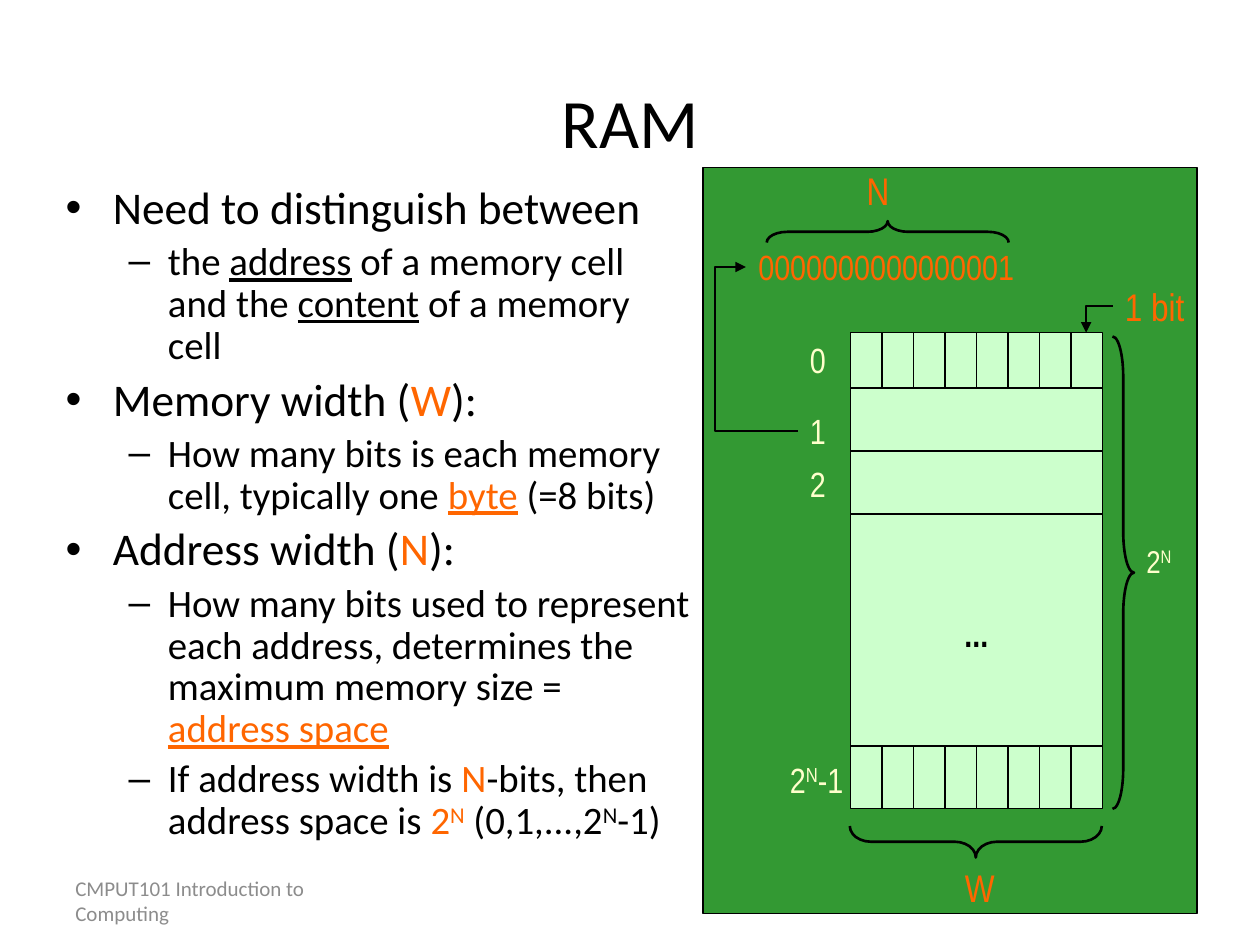
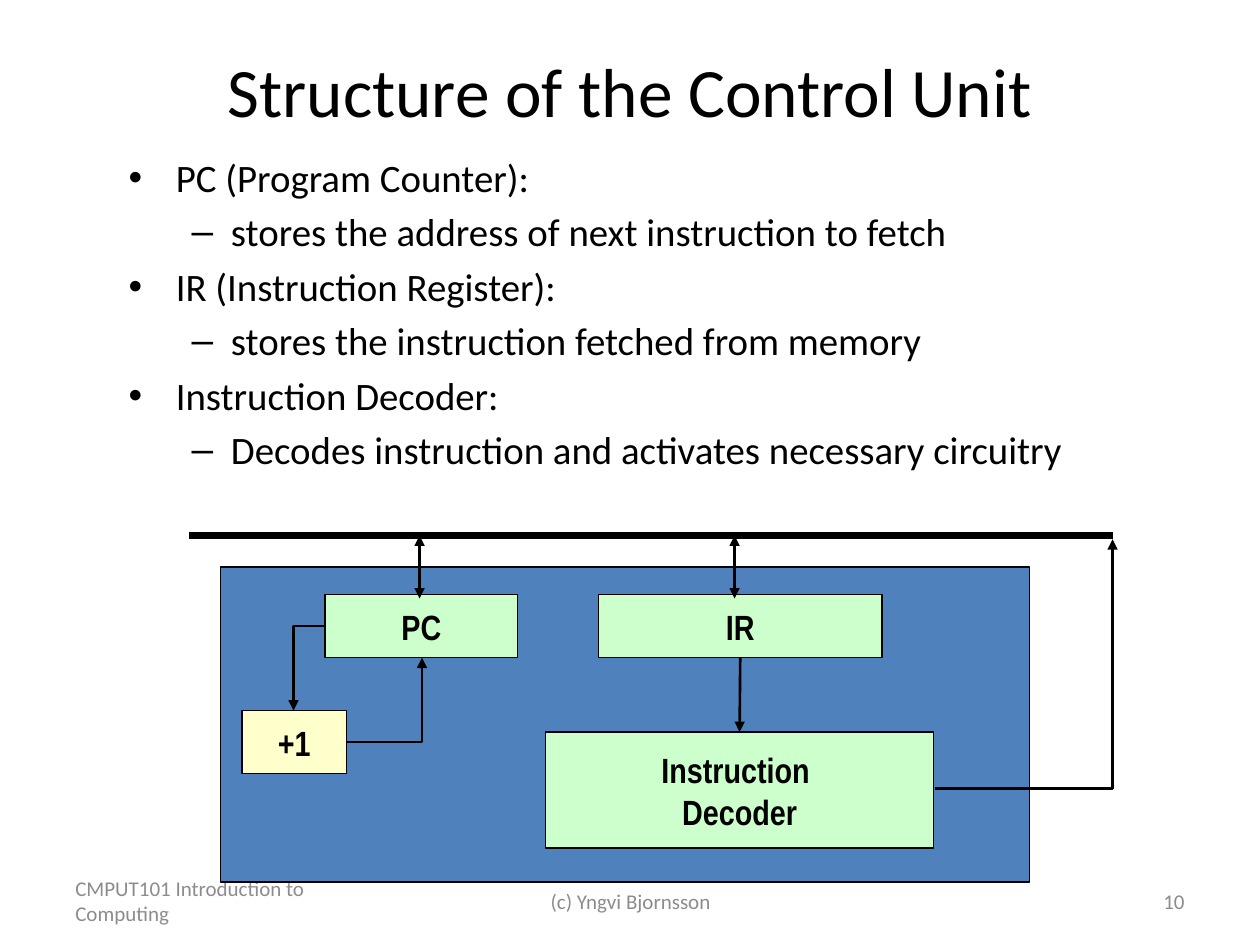
from lxml import etree
from pptx import Presentation
from pptx import util as u
from pptx.dml.color import RGBColor
from pptx.enum import shapes, text
from pptx.oxml.ns import qn

BLACK, GREY, ORANGE, CREAM = "000000", "8C8C8C", "FF6600", "FFFFCC"
MINT, GREEN, BLUE = "CCFFCC", "339933", "4F81BD"
BODY_FONT, DIAGRAM_FONT = "Calibri", "Arial Narrow"
BIT = 0.25
MEMORY_LEFT, MEMORY_WIDTH = 6.75, 8 * BIT
CENTER, RIGHT = text.PP_ALIGN.CENTER, text.PP_ALIGN.RIGHT


def rgb(color):
    return RGBColor.from_string(color)


def inches(*lengths):
    return [u.Inches(length) for length in lengths]


def add_runs(paragraph, runs, size, font, color=BLACK, bold=False):
    """Flags of a run: o orange, u underlined, s superscript."""
    for item in runs:
        words, flags = (item, "") if isinstance(item, str) else item
        run = paragraph.add_run()
        run.text = words
        run.font.name = font
        run.font.size = u.Pt(size)
        run.font.bold = bold
        run.font.color.rgb = rgb(ORANGE if "o" in flags else color)
        if "u" in flags:
            run.font.underline = True
        if "s" in flags:
            run._r.get_or_add_rPr().set("baseline", "30000")


def place(shape, box):
    shape.left, shape.top, shape.width, shape.height = inches(*box)


def set_title(slide, words, top):
    title = slide.shapes.title
    place(title, (0.75, top, 8.5, 0.58))
    title.text_frame.auto_size = text.MSO_AUTO_SIZE.NONE
    title.text_frame.vertical_anchor = text.MSO_ANCHOR.MIDDLE
    add_runs(title.text_frame.paragraphs[0], [words], 39.6, BODY_FONT)


def set_list(slide, box, points, sizes, spacing=None):
    body = slide.placeholders[1]
    place(body, box)
    frame = body.text_frame
    frame.auto_size = text.MSO_AUTO_SIZE.NONE
    for index, (level, *runs) in enumerate(points):
        paragraph = frame.add_paragraph() if index else frame.paragraphs[0]
        paragraph.level = level
        if spacing:
            paragraph.line_spacing = spacing
        add_runs(paragraph, runs, sizes[level], BODY_FONT)


def add_label(slide, box, runs, size, color, font=DIAGRAM_FONT, wrap=False,
              align=None, anchor=text.MSO_ANCHOR.TOP):
    frame = slide.shapes.add_textbox(*inches(*box)).text_frame
    frame.word_wrap = wrap
    frame.vertical_anchor = anchor
    frame.paragraphs[0].alignment = align
    add_runs(frame.paragraphs[0], runs, size, font, color)


def add_footer(slide, left, width, words, align=None):
    add_label(slide, (left, 6.95, width, 0.4), [words], 12, GREY, BODY_FONT,
              True, align, text.MSO_ANCHOR.MIDDLE)


def add_block(slide, box, fill, *lines):
    block = slide.shapes.add_shape(shapes.MSO_SHAPE.RECTANGLE, *inches(*box))
    block.shadow.inherit = False
    block.fill.solid()
    block.fill.fore_color.rgb = rgb(fill)
    block.line.color.rgb = rgb(BLACK)
    block.line.width = u.Pt(0.75)
    frame = block.text_frame
    if lines:
        frame.word_wrap = False
        frame.vertical_anchor = text.MSO_ANCHOR.MIDDLE
    for index, line in enumerate(lines):
        paragraph = frame.add_paragraph() if index else frame.paragraphs[0]
        paragraph.alignment = CENTER
        add_runs(paragraph, [line], 20, DIAGRAM_FONT, bold=True)
    return block


def add_bits(slide, top):
    for bit in range(8):
        add_block(slide, (MEMORY_LEFT + bit * BIT, top, BIT, 0.5), MINT)


def add_brace(slide, kind, box, curve, rotation=0):
    brace = slide.shapes.add_shape(kind, *inches(*box))
    brace.shadow.inherit = False
    brace.fill.background()
    brace.line.color.rgb = rgb(BLACK)
    brace.line.width = u.Pt(1.5)
    brace.adjustments[0] = curve
    brace.rotation = rotation


def add_wire(slide, start, end, width=1.5, ends=("tailEnd",), bend=None,
             offset=None):
    kind = shapes.MSO_CONNECTOR.ELBOW if bend else shapes.MSO_CONNECTOR.STRAIGHT
    wire = slide.shapes.add_connector(kind, *inches(*start, *end))
    wire.line.color.rgb = rgb(BLACK)
    wire.line.width = u.Pt(width)
    properties = wire._element.spPr
    outline = properties.find(qn("a:ln"))
    for arrow in ends:
        etree.SubElement(outline, qn(f"a:{arrow}"), type="triangle")
    etree.SubElement(properties, qn("a:effectLst"))
    if bend:
        geometry = properties.find(qn("a:prstGeom"))
        geometry.set("prst", bend)
        if offset:
            guides = geometry.find(qn("a:avLst"))
            etree.SubElement(guides, qn("a:gd"), name="adj1", fmla=f"val {offset}")
    return wire


def add_slide(deck, title, title_top):
    slide = deck.slides.add_slide(deck.slide_layouts[1])
    set_title(slide, title, title_top)
    add_footer(slide, 0.5, 2.33, "CMPUT101 Introduction to Computing")
    return slide


def build_ram(deck):
    slide = add_slide(deck, "RAM", 0.67)
    set_list(slide, (0.42, 1.42, 5.17, 5.75), [
        (0, "Need to distinguish between"),
        (1, "the ", ("address", "u"), " of a memory cell and the ",
         ("content", "u"), " of a memory cell"),
        (0, "Memory width (", ("W", "o"), "):"),
        (1, "How many bits is each memory cell, typically one ",
         ("byte", "ou"), " (=8 bits)"),
        (0, "Address width (", ("N", "o"), "):"),
        (1, "How many bits used to represent each address, determines the "
            "maximum memory size = ", ("address space", "ou")),
        (1, "If address width is ", ("N", "o"), "-bits, then address space is ",
         ("2", "o"), ("N", "os"), " (0,1,...,2", ("N", "s"), "-1)"),
    ], (25.9, 22.2), 0.9)

    add_block(slide, (5.58, 1.33, 3.92, 5.92), GREEN)
    add_block(slide, (MEMORY_LEFT, 4.08, MEMORY_WIDTH, 1.89), MINT, "...")
    add_bits(slide, 2.64)
    add_bits(slide, 5.92)
    for top in (3.08, 3.58):
        add_block(slide, (MEMORY_LEFT, top, MEMORY_WIDTH, 0.5), MINT)

    for address, top in (("0", 2.64), ("1", 3.2), ("2", 3.62)):
        add_label(slide, (6.33, top, 0.27, 0.43), [address], 20, CREAM, wrap=True)
    add_label(slide, (6.17, 5.97, 0.75, 0.43), ["2", ("N", "s"), "-1"], 20,
              CREAM, wrap=True)
    add_label(slide, (9, 4.25, 0.5, 0.5), ["2", ("N", "s")], 18, CREAM, wrap=True)
    add_label(slide, (5.92, 1.9, 2.23, 0.43), ["0000000000000001"], 20, ORANGE)
    for name, left, top, width in (("1 bit", 8.83, 2.2, 0.67),
                                   ("W", 7.56, 6.81, 0.44),
                                   ("N", 6.78, 1.28, 0.38)):
        add_label(slide, (left, top, width, 0.47), [name], 22, ORANGE)

    left_brace = shapes.MSO_SHAPE.LEFT_BRACE
    add_brace(slide, left_brace, (7.62, 5.68, 0.25, 2), 0.67, 270)
    add_brace(slide, left_brace, (6.96, 0.88, 0.17, 1.92), 0.96, 90)
    add_brace(slide, shapes.MSO_SHAPE.RIGHT_BRACE, (8.83, 2.67, 0.17, 3.75), 1.88)
    add_wire(slide, (8.83, 2.43), (8.62, 2.64), bend="bentConnector2")
    add_wire(slide, (6.33, 3.42), (5.92, 2.12), bend="bentConnector3",
             offset=160000)


def build_control_unit(deck):
    slide = add_slide(deck, "Structure of the Control Unit", 0.42)
    add_footer(slide, 3.42, 3.17, "(c) Yngvi Bjornsson", CENTER)
    add_footer(slide, 7.17, 2.33, "10", RIGHT)
    set_list(slide, (0.92, 1.17, 7.92, 3), [
        (0, "PC (Program Counter):"),
        (1, "stores the address of next instruction to fetch"),
        (0, "IR (Instruction Register):"),
        (1, "stores the instruction fetched from memory"),
        (0, "Instruction Decoder:"),
        (1, "Decodes instruction and activates necessary circuitry"),
    ], (22.2, 22.2))

    add_block(slide, (1.75, 4.5, 6.42, 2.5), BLUE)
    add_wire(slide, (1.5, 4.25), (8.83, 4.25), 4, ends=())
    decoder = add_block(slide, (4.33, 5.81, 3.08, 0.92), MINT,
                        "Instruction ", "Decoder")
    register = add_block(slide, (4.75, 4.72, 2.25, 0.5), MINT, "IR")
    add_block(slide, (1.92, 5.64, 0.83, 0.5), CREAM, "+1")
    add_block(slide, (2.58, 4.72, 1.53, 0.5), MINT, "PC")

    for start, end in (((2.58, 4.97), (2.33, 5.64)),
                       ((2.75, 5.89), (3.35, 5.22)),
                       ((7.42, 6.26), (8.83, 4.28))):
        add_wire(slide, start, end, bend="bentConnector2")
    decode = add_wire(slide, (5.88, 5.22), (5.88, 5.81))
    decode.begin_connect(register, 2)
    decode.end_connect(decoder, 0)
    for x in (3.33, 5.83):
        add_wire(slide, (x, 4.75), (x, 4.25), ends=("headEnd", "tailEnd"))


def main():
    deck = Presentation()
    deck.slide_width, deck.slide_height = inches(10, 7.5)
    build_ram(deck)
    build_control_unit(deck)
    deck.save("out.pptx")


if __name__ == "__main__":
    main()
